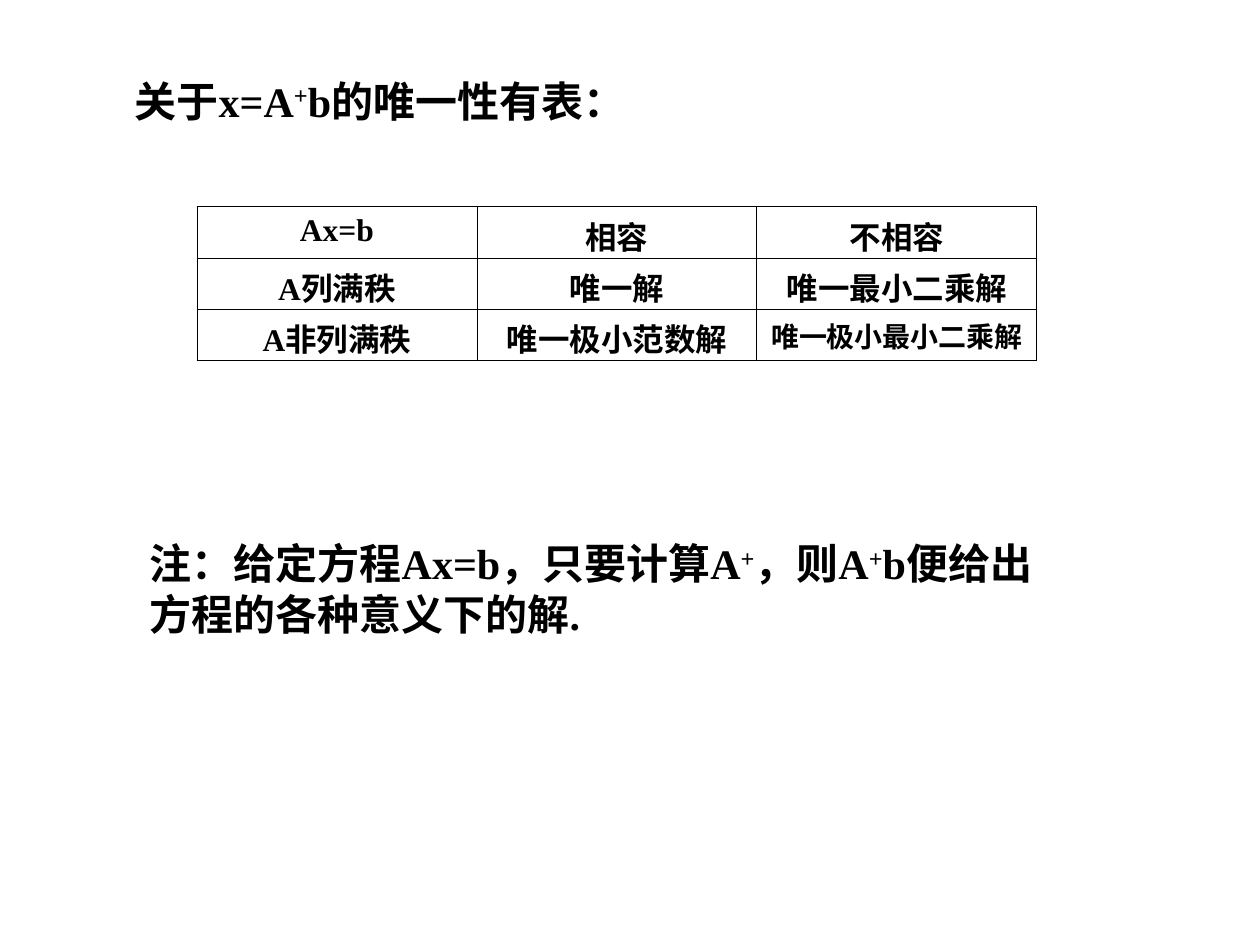
from dataclasses import dataclass

from lxml.etree import SubElement
from pptx import Presentation
from pptx.dml.color import RGBColor
from pptx.enum.text import MSO_AUTO_SIZE, PP_ALIGN
from pptx.oxml.ns import qn
from pptx.util import Pt

BLACK = RGBColor(0x00, 0x00, 0x00)
WHITE = RGBColor(0xFF, 0xFF, 0xFF)
FONT_NAME = "Times New Roman"
BODY_SIZE = 24
CELL_SIZE = 18
SMALL_CELL_SIZE = 16
BORDER_WIDTH = 0.45
SUPERSCRIPT = "30000"


@dataclass(frozen=True)
class Frame:
    left: float
    top: float
    width: float
    height: float

    def lengths(self) -> tuple:
        return Pt(self.left), Pt(self.top), Pt(self.width), Pt(self.height)


@dataclass(frozen=True)
class Statement:
    frame: Frame
    pieces: tuple[str, ...]
    wrap: bool


@dataclass(frozen=True)
class Entry:
    text: str
    size: float = CELL_SIZE


STATEMENTS = (
    Statement(Frame(69.84, 39.6, 306, 36), ("关于x=A", "+", "b的唯一性有表："), False),
    Statement(
        Frame(78.48, 303.84, 540, 64.8),
        ("注：给定方程Ax=b，只要计算A", "+", "，则A", "+", "b便给出方程的各种意义下的解."),
        True,
    ),
)

TABLE_FRAME = Frame(112.5, 118.08, 480, 87.84)
TABLE_ROWS = (
    (Entry("Ax=b"), Entry("相容"), Entry("不相容")),
    (Entry("A列满秩"), Entry("唯一解"), Entry("唯一最小二乘解")),
    (Entry("A非列满秩"), Entry("唯一极小范数解"), Entry("唯一极小最小二乘解", SMALL_CELL_SIZE)),
)


def style_paragraph(para, size: float) -> None:
    para.font.name = FONT_NAME
    para.font.size = Pt(size)
    para.font.bold = True
    para.font.color.rgb = BLACK


def add_statement(page, statement: Statement) -> None:
    box = page.shapes.add_textbox(*statement.frame.lengths())
    box.text_frame.word_wrap = statement.wrap
    box.text_frame.auto_size = MSO_AUTO_SIZE.SHAPE_TO_FIT_TEXT
    para = box.text_frame.paragraphs[0]
    style_paragraph(para, BODY_SIZE)
    for piece in statement.pieces:
        span = para.add_run()
        span.text = piece
        if piece == "+":
            span._r.get_or_add_rPr().set("baseline", SUPERSCRIPT)


def add_borders(cell) -> None:
    properties = cell._tc.get_or_add_tcPr()
    for side in ("a:lnL", "a:lnR", "a:lnT", "a:lnB"):
        line = SubElement(properties, qn(side), w=str(Pt(BORDER_WIDTH)))
        fill = SubElement(line, qn("a:solidFill"))
        SubElement(fill, qn("a:srgbClr"), val=str(BLACK))


def fill_cell(cell, entry: Entry) -> None:
    add_borders(cell)
    cell.fill.solid()
    cell.fill.fore_color.rgb = WHITE
    para = cell.text_frame.paragraphs[0]
    para.alignment = PP_ALIGN.CENTER
    style_paragraph(para, entry.size)
    para.add_run().text = entry.text


def add_solution_table(page, frame: Frame, rows: tuple[tuple[Entry, ...], ...]) -> None:
    table = page.shapes.add_table(len(rows), len(rows[0]), *frame.lengths()).table
    for row_index, row in enumerate(rows):
        for column_index, entry in enumerate(row):
            fill_cell(table.cell(row_index, column_index), entry)


def main() -> None:
    deck = Presentation()
    deck.slide_width, deck.slide_height = Pt(720), Pt(540)
    page = deck.slides.add_slide(deck.slide_layouts[6])
    heading, note = STATEMENTS
    add_statement(page, heading)
    add_solution_table(page, TABLE_FRAME, TABLE_ROWS)
    add_statement(page, note)
    deck.save("out.pptx")


if __name__ == "__main__":
    main()
